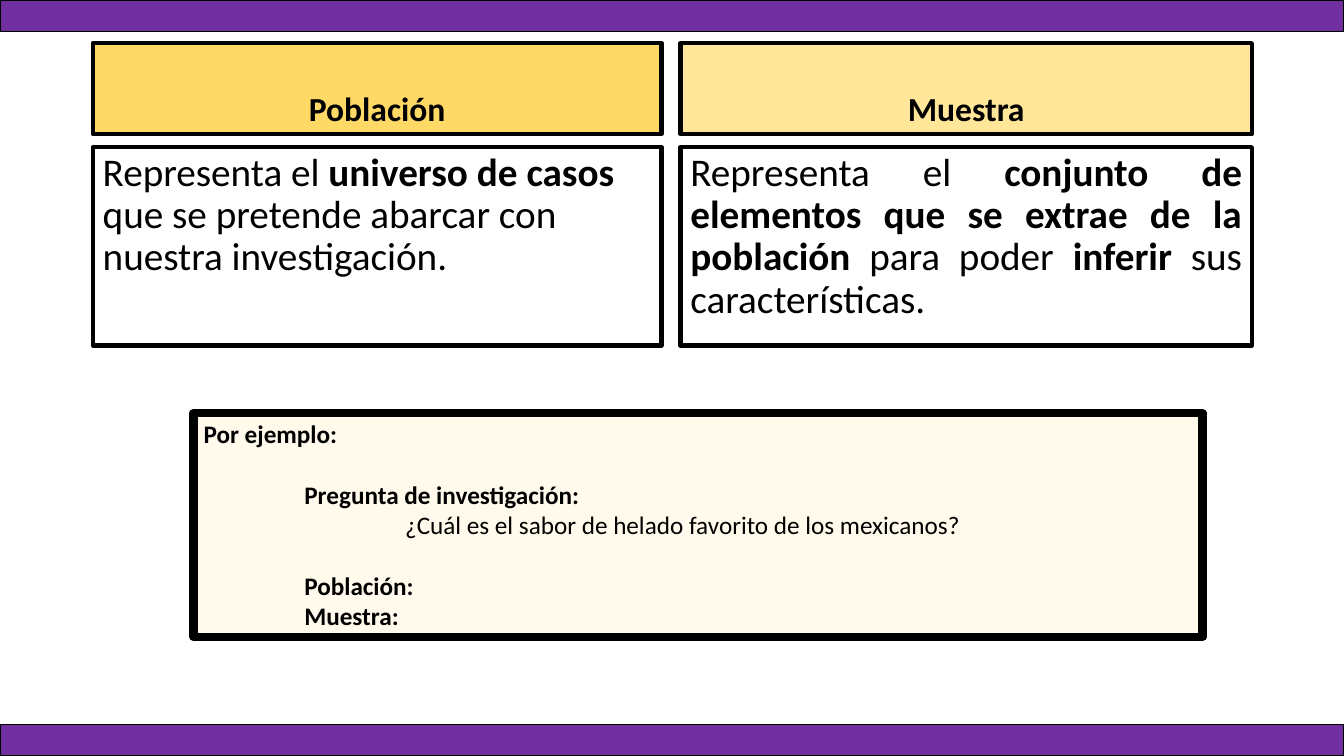
from pptx import Presentation
from pptx.dml.color import RGBColor
from pptx.enum.shapes import MSO_SHAPE
from pptx.enum.text import MSO_ANCHOR, PP_ALIGN
from pptx.util import Cm, Pt

RECTANGLE = MSO_SHAPE.RECTANGLE
TOP, BOTTOM = MSO_ANCHOR.TOP, MSO_ANCHOR.BOTTOM
LEFT, CENTER, JUSTIFY = PP_ALIGN.LEFT, PP_ALIGN.CENTER, PP_ALIGN.JUSTIFY

FONT = "Calibri"
BLACK = "000000"
PURPLE = "7030A0"
SLIDE_WIDTH, SLIDE_HEIGHT = 33.87, 19.05
BAR_HEIGHT = 0.79
HEADER_HEIGHT, HEADER_GAP = 2.29, 0.33
INDENT = 2.54

COLUMNS = [
    ((2.34, 1.09, 14.33, 7.62), "Población", "FFD966", LEFT, [
        ("Representa el ", False),
        ("universo de casos ", True),
        ("que se pretende abarcar con nuestra investigación.", False),
    ]),
    ((17.15, 1.09, 14.4, 7.62), "Muestra", "FFE699", JUSTIFY, [
        ("Representa el ", False),
        ("conjunto de elementos que se extrae de la población ", True),
        ("para poder ", False),
        ("inferir ", True),
        ("sus características.", False),
    ]),
]

EXAMPLE_LINES = [
    ("Por ejemplo:", 0, True, 0),
    ("Pregunta de investigación:", 1, True, 22),
    ("¿Cuál es el sabor de helado favorito de los mexicanos?", 2, False, 0),
    ("Población:", 1, True, 22),
    ("Muestra:", 1, True, 0),
]


def color(value):
    return RGBColor.from_string(value)


def add_box(slide, box, fill, line_width, anchor=TOP):
    shape = slide.shapes.add_shape(RECTANGLE, *(Cm(length) for length in box))
    shape.shadow.inherit = False
    if fill:
        shape.fill.solid()
        shape.fill.fore_color.rgb = color(fill)
    else:
        shape.fill.background()
    shape.line.color.rgb = color(BLACK)
    shape.line.width = Pt(line_width)
    shape.text_frame.word_wrap = True
    shape.text_frame.vertical_anchor = anchor
    return shape


def format_paragraph(paragraph, size, alignment=LEFT, bold=None):
    paragraph.alignment = alignment
    paragraph.font.name = FONT
    paragraph.font.size = Pt(size)
    paragraph.font.bold = bold
    paragraph.font.color.rgb = color(BLACK)


def add_column(slide, box, heading, fill, alignment, runs):
    left, top, width, height = box
    header = add_box(slide, (left, top, width, HEADER_HEIGHT), fill, 3, BOTTOM)
    paragraph = header.text_frame.paragraphs[0]
    paragraph.text = heading
    paragraph.line_spacing = 0.9
    format_paragraph(paragraph, 24, CENTER, True)

    offset = HEADER_HEIGHT + HEADER_GAP
    body = add_box(slide, (left, top + offset, width, height - offset), None, 3)
    paragraph = body.text_frame.paragraphs[0]
    paragraph.line_spacing = 0.9
    format_paragraph(paragraph, 28, alignment)
    for text, bold in runs:
        run = paragraph.add_run()
        run.text = text
        run.font.bold = bold


def add_example(slide, box):
    frame = add_box(slide, box, "FFFAEB", 6).text_frame
    for index, (text, level, bold, space) in enumerate(EXAMPLE_LINES):
        paragraph = frame.add_paragraph() if index else frame.paragraphs[0]
        paragraph.text = text
        paragraph.space_before = Pt(space)
        paragraph._p.get_or_add_pPr().set("marL", str(Cm(INDENT * level)))
        format_paragraph(paragraph, 18, bold=bold)


def main():
    presentation = Presentation()
    presentation.slide_width = Cm(SLIDE_WIDTH)
    presentation.slide_height = Cm(SLIDE_HEIGHT)
    slide = presentation.slides.add_slide(presentation.slide_layouts[6])
    for column in COLUMNS:
        add_column(slide, *column)
    for top in (0, SLIDE_HEIGHT - BAR_HEIGHT):
        add_box(slide, (0, top, SLIDE_WIDTH, BAR_HEIGHT), PURPLE, 1)
    add_example(slide, (4.88, 10.41, 25.43, 5.64))
    presentation.save("out.pptx")


if __name__ == "__main__":
    main()
